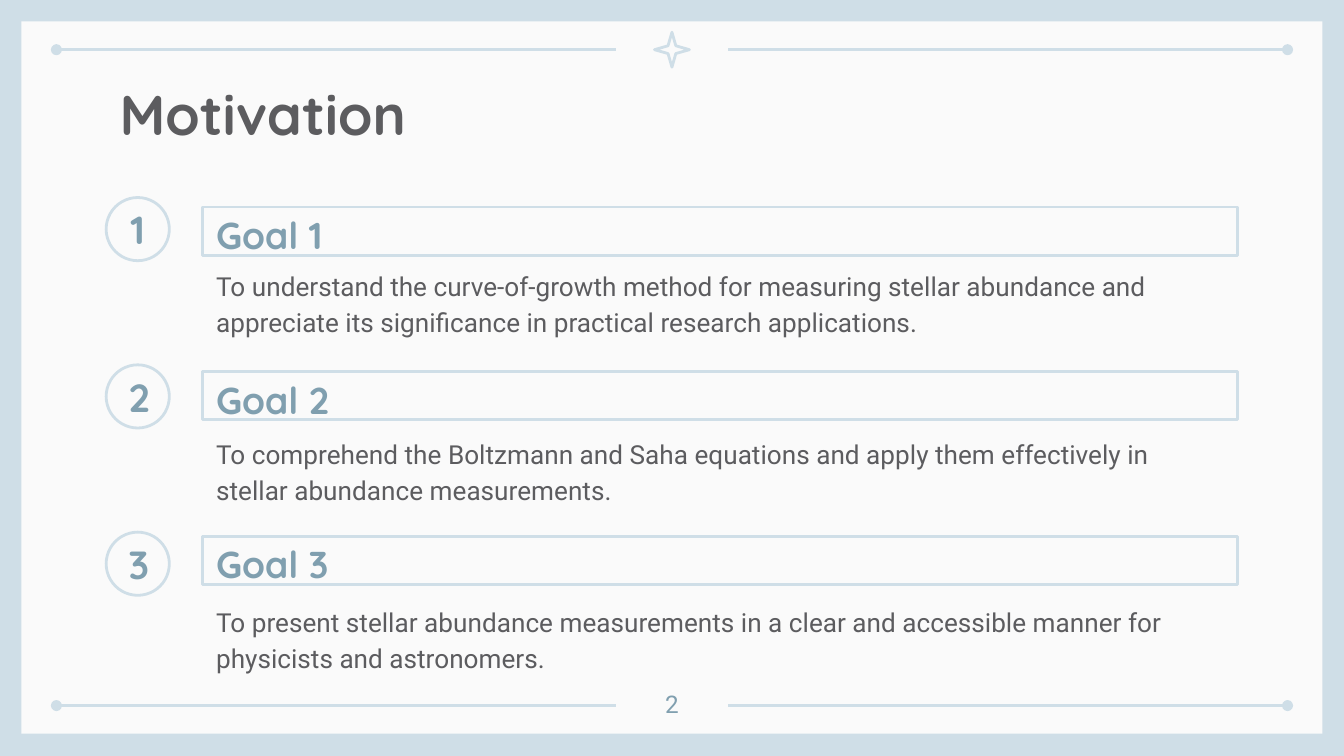
from dataclasses import dataclass
from pptx import Presentation
from pptx.dml.color import RGBColor
from pptx.enum.shapes import MSO_CONNECTOR as Link, MSO_SHAPE as Kind
from pptx.enum.text import MSO_ANCHOR as Anchor, MSO_AUTO_SIZE as Fit, PP_ALIGN as Align
from pptx.oxml.ns import qn
from pptx.util import Inches, Pt
from lxml.etree import SubElement

PALE, BLUE, GREY, PAPER = "CFDEE7", "809FAF", "5C5C5F", "FAFAFA"


@dataclass
class Box:
    left: float
    top: float
    width: float
    height: float

    def area(self) -> list:
        return [Inches(n) for n in (self.left, self.top, self.width, self.height)]


@dataclass
class Style:
    size: float
    face: str
    ink: str
    bold: bool = False
    align: Align = Align.LEFT
    anchor: Anchor = Anchor.TOP
    space: float = 1.0


@dataclass
class Rule:
    start: float
    stop: float
    dot: str


TITLE = Style(30, "Quicksand", GREY, True)
GOAL = Style(20, "Quicksand", BLUE, True, anchor=Anchor.MIDDLE, space=1.15)
BADGE = Style(21, "Quicksand", BLUE, True, Align.CENTER, Anchor.MIDDLE)
BODY = Style(14, "Roboto", GREY, space=1.15)
PAGE = Style(13, "Roboto", BLUE, align=Align.CENTER)

RULES = [Rule(0.42, 4.58, "headEnd"), Rule(5.42, 9.58, "tailEnd")]
AIMS = [
    "To understand the curve-of-growth method for measuring stellar abundance "
    "and appreciate its significance in practical research applications.",
    "To comprehend the Boltzmann and Saha equations and apply them effectively "
    "in stellar abundance measurements.",
    "To present stellar abundance measurements in a clear and accessible manner "
    "for physicists and astronomers.",
]


def color(code: str) -> RGBColor:
    return RGBColor.from_string(code)


def write(shape, text: str, style: Style) -> None:
    frame = shape.text_frame
    frame.text = text
    pad = Inches(0.1)
    para = frame.paragraphs[0]
    looks = {
        frame: {
            "word_wrap": True, "auto_size": Fit.NONE, "vertical_anchor": style.anchor,
            "margin_left": pad, "margin_top": pad,
            "margin_right": pad, "margin_bottom": pad,
        },
        para: {"alignment": style.align, "line_spacing": style.space},
        para.runs[0].font: {"size": Pt(style.size), "name": style.face, "bold": style.bold},
    }
    for item, values in looks.items():
        for key, value in values.items():
            setattr(item, key, value)
    para.runs[0].font.color.rgb = color(style.ink)


def label(slide, box: Box, text: str, style: Style) -> None:
    write(slide.shapes.add_textbox(*box.area()), text, style)


def outline(slide, kind: Kind, box: Box):
    shape = slide.shapes.add_shape(kind, *box.area())
    shape.shadow.inherit = False
    shape.fill.background()
    shape.line.color.rgb = color(PALE)
    shape.line.width = Pt(1.5)
    return shape


def draw_rule(slide, rule: Rule, top: float) -> None:
    line = slide.shapes.add_connector(
        Link.STRAIGHT, Inches(rule.start), Inches(top), Inches(rule.stop), Inches(top))
    line.line.color.rgb = color(PALE)
    line.line.width = Pt(1.5)
    props = line.element.spPr
    SubElement(props.find(qn("a:ln")), qn(f"a:{rule.dot}"), type="oval")
    SubElement(props, qn("a:effectLst"))


def draw_frame(slide) -> None:
    back = slide.background.fill
    back.solid()
    back.fore_color.rgb = color(PALE)
    paper = slide.shapes.add_shape(Kind.RECTANGLE, *Box(0.16, 0.16, 9.68, 5.3).area())
    paper.shadow.inherit = False
    paper.fill.solid()
    paper.fill.fore_color.rgb = color(PAPER)
    paper.line.fill.background()
    for top in (0.37, 5.25):
        for rule in RULES:
            draw_rule(slide, rule, top)
    star = outline(slide, Kind.STAR_4_POINT, Box(4.87, 0.24, 0.26, 0.26))
    star.adjustments[0] = 0.157


def draw_title(slide, text: str) -> None:
    title = slide.shapes.title
    title.left, title.top, title.width, title.height = Box(0.79, 0.49, 8.43, 0.63).area()
    write(title, text, TITLE)
    title.element.getparent().append(title.element)


def draw_goal(slide, row: int, aim: str) -> None:
    label(slide, Box(1.51, 1.88 + 1.25 * row, 7.7, 0.58), aim, BODY)
    badge = outline(slide, Kind.OVAL, Box(0.79, 1.47 + 2.49 * row / 2, 0.47, 0.47))
    write(badge, str(row + 1), BADGE)
    bar = outline(slide, Kind.RECTANGLE, Box(1.51, 1.54 + 2.45 * row / 2, 7.7, 0.36))
    write(bar, f"Goal {row + 1}", GOAL)


def main() -> None:
    deck = Presentation()
    deck.slide_width, deck.slide_height = Inches(10), Inches(10 * 9 / 16)
    slide = deck.slides.add_slide(deck.slide_layouts[5])
    draw_frame(slide)
    draw_title(slide, "Motivation")
    for row, aim in enumerate(AIMS):
        draw_goal(slide, row, aim)
    label(slide, Box(4.7, 5.03, 0.6, 0.36), "2", PAGE)
    deck.save("out.pptx")


if __name__ == "__main__":
    main()
